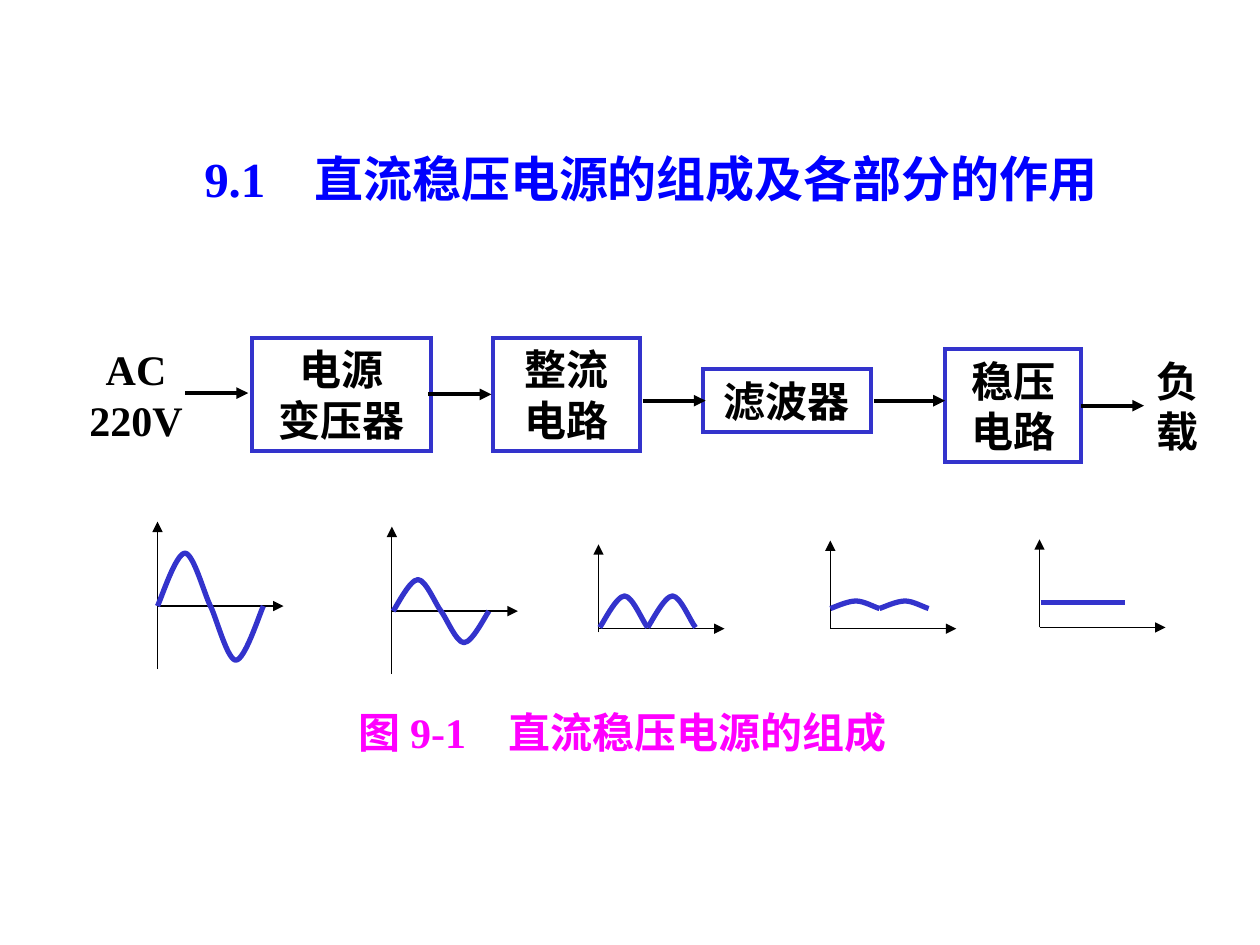
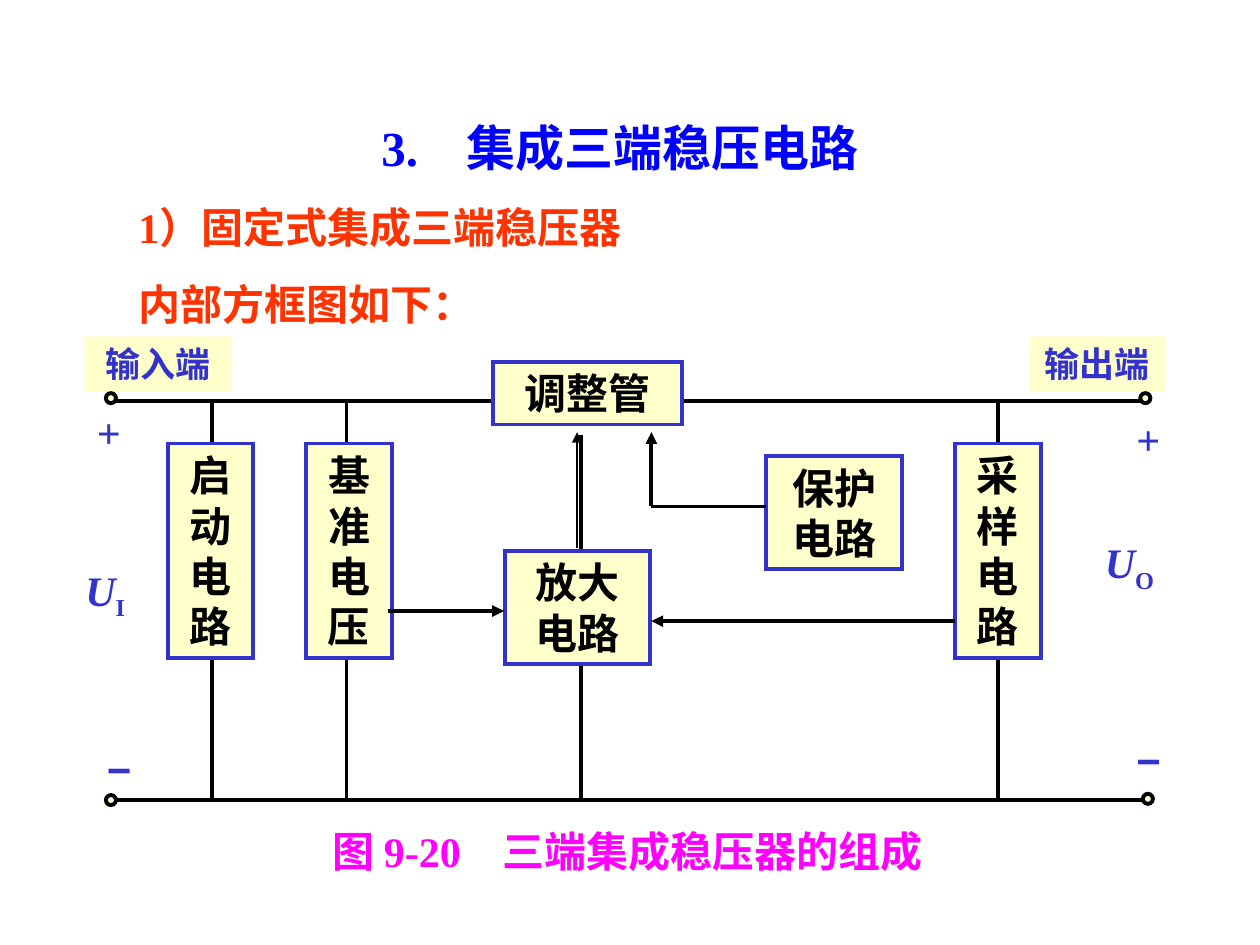
import lxml.etree
import pptx
import pptx.dml.color
import pptx.enum.shapes
import pptx.enum.text
import pptx.oxml.ns
import pptx.util
from pptx.util import Inches

BLUE, TITLE, CAPTION, RED = "3333CC", "0000FF", "FF00FF", "FF3300"
BLACK, CREAM = "000000", "FFFFCC"
SERIF, SANS = "Times New Roman", "Arial"
THICK, THIN, CURVE = 2.25, 0.75, 3
CENTER = pptx.enum.text.PP_ALIGN.CENTER
LEFT = pptx.enum.text.PP_ALIGN.LEFT
RECTANGLE = pptx.enum.shapes.MSO_SHAPE.RECTANGLE
OVAL = pptx.enum.shapes.MSO_SHAPE.OVAL

# Supply chain: places are (left, top, width, height)
SUPPLY_TITLE = ("9.1　直流稳压电源的组成及各部分的作用", (1.25, 1.13, 7.83, 0.57))
SUPPLY_CAPTION = ("图 9-1　直流稳压电源的组成", (1, 5.56, 7.88, 0.5))
SOURCE = ("AC 220V", (0.58, 2.68, 1, 0.9))
LOAD = ("负载", (9.08, 2.77, 0.83, 0.9))
STAGES = [
    (["电源", "变压器"], (2, 2.68, 1.42, 0.9)),
    (["整流电路"], (3.91, 2.68, 1.17, 0.9)),
    (["滤波器"], (5.58, 2.93, 1.33, 0.5)),
    (["稳压电路"], (7.5, 2.77, 1.08, 0.9)),
]
STAGE_ARROWS = [  # start x, end x, y
    (1.47, 1.97, 3.12), (3.4, 3.9, 3.13), (5.1, 5.6, 3.18),
    (6.94, 7.5, 3.18), (8.58, 9.08, 3.22),
]
AXES = [  # origin x, origin y, length below, length above
    (1.25, 4.81, 0.5, 0.67), (3.11, 4.85, 0.5, 0.67), (4.75, 4.99, 0.03, 0.67),
    (6.59, 4.99, 0, 0.7), (8.25, 4.98, 0, 0.7),
]
WAVES = [  # start x, base y, half period, heights of the half waves
    (1.25, 4.81, 0.42, (0.42, -0.43)),
    (3.12, 4.85, 0.38, (0.25, -0.25)),
    (4.76, 4.98, 0.38, (0.25, 0.25)),
    (6.59, 4.83, 0.39, (0.06, 0.06)),
]
STEADY_OUTPUT = (8.26, 4.78, 8.93, 4.78)
# One half wave of unit size: its nodes, and the two handles of each curve
WAVE_NODES = [(0, 0), (0.52, 1), (1, 0)]
WAVE_HANDLES = [((0.08, 0.17), (0.35, 1)), ((0.68, 1), (0.89, 0.21))]

# Regulator block diagram
REGULATOR_TITLE = ("3.　集成三端稳压电路", (1.42, 0.88, 7, 0.57))
REGULATOR_CAPTION = ("图 9-20　三端集成稳压器的组成", (0.92, 6.5, 8.12, 0.5))
INTRO = ["1）固定式集成三端稳压器", "内部方框图如下："]
TOP_RAIL, BOTTOM_RAIL, RAIL_LEFT, RAIL_RIGHT = 3.18, 6.35, 0.92, 9.08
BRANCHES = [(7.92, TOP_RAIL), (1.68, TOP_RAIL), (2.75, TOP_RAIL), (4.61, 3.45)]
BLOCKS = [
    ("调整管", (3.91, 2.87, 1.5, 0.5)),
    ("启动电路", (1.33, 3.52, 0.68, 1.7)),
    ("基准电压", (2.43, 3.52, 0.68, 1.7)),
    ("放大电路", (4.01, 4.37, 1.15, 0.9)),
    ("保护电路", (6.08, 3.62, 1.08, 0.9)),
    ("采样电路", (7.58, 3.52, 0.68, 1.7)),
]
PORTS = [("输入端", (0.67, 2.67, 1.17, 0.44)), ("输出端", (8.17, 2.67, 1.08, 0.44))]
SIGNALS = [  # ends, width, arrowhead
    ((3.08, 4.85, 4, 4.85), THICK, True),
    ((4.58, 4.35, 4.58, 3.43), THIN, True),
    ((6.08, 4.02, 5.17, 4.02), THICK, False),
    ((5.17, 4.02, 5.17, 3.43), THICK, True),
    ((7.58, 4.93, 5.17, 4.93), THICK, True),
]
TERMINALS = [(9.05, 3.12), (9.07, 6.3), (0.84, 6.31), (0.84, 3.12)]
TERMINAL_SIZE = 0.08
SIGNS = [
    ("+", SERIF, (0.67, 3.18, 0.58, 0.5)), ("+", SERIF, (8.92, 3.23, 0.58, 0.5)),
    ("−", SANS, (0.75, 5.85, 0.42, 0.5)), ("−", SANS, (8.92, 5.78, 0.42, 0.5)),
]
VOLTAGES = [("O", (8.67, 4.21, 0.83, 0.56)), ("I", (0.58, 4.43, 0.83, 0.56))]


def rgb(code):
    return pptx.dml.color.RGBColor.from_string(code)


def lengths(values):
    return [Inches(value) for value in values]


def add_element(parent, tag, **attributes):
    return lxml.etree.SubElement(parent, pptx.oxml.ns.qn(tag), **attributes)


def add_span(para, text, size, color, font=SERIF, italic=False):
    span = para.add_run()
    span.text = text
    span.font.name = font
    span.font.size = pptx.util.Pt(size)
    span.font.bold = True
    span.font.italic = italic
    span.font.color.rgb = rgb(color)
    return span


def prepare_frame(shape):
    frame = shape.text_frame
    frame.word_wrap = True
    frame.auto_size = pptx.enum.text.MSO_AUTO_SIZE.SHAPE_TO_FIT_TEXT
    frame.vertical_anchor = pptx.enum.text.MSO_ANCHOR.TOP
    return frame


def write(shape, paragraphs, size=24, color=BLACK, align=CENTER, font=SERIF, gap=0):
    """Fill a shape with paragraphs; gap is the space between them in points."""
    frame = prepare_frame(shape)
    for index, text in enumerate(paragraphs):
        para = frame.add_paragraph() if index else frame.paragraphs[0]
        para.alignment = align
        if index:
            para.space_before = pptx.util.Pt(gap)
        add_span(para, text, size, color, font)


def add_text(page, paragraphs, place, **style):
    write(page.shapes.add_textbox(*lengths(place)), paragraphs, **style)


def add_title(page, title):
    add_text(page, [title[0]], title[1], size=28, color=TITLE)


def add_caption(page, caption):
    add_text(page, [caption[0]], caption[1], color=CAPTION)


def set_line(shape, color, width):
    """Colour the line and return its element for further settings."""
    shape.line.color.rgb = rgb(color)
    shape.line.width = pptx.util.Pt(width)
    return shape._element.spPr.find(pptx.oxml.ns.qn("a:ln"))


def add_box(page, place, kind=RECTANGLE, fill=None, line=BLUE):
    box = page.shapes.add_shape(kind, *lengths(place))
    box.shadow.inherit = False
    if fill:
        box.fill.solid()
        box.fill.fore_color.rgb = rgb(fill)
    else:
        box.fill.background()
    if line:
        add_element(set_line(box, line, THICK), "a:miter", lim="800000")
    else:
        box.line.fill.background()
    return box


def add_line(page, ends, width=THICK, arrow=False, color=BLACK):
    line = page.shapes.add_connector(
        pptx.enum.shapes.MSO_CONNECTOR.STRAIGHT, *lengths(ends))
    outline = set_line(line, color, width)
    if arrow:
        add_element(outline, "a:tailEnd", type="triangle")
    add_element(line._element.spPr, "a:effectLst")


def add_half_wave(page, left, base, width, height):
    """Draw one arch; a negative one hangs below the base and runs leftwards."""
    if height < 0:
        left, width = left + width, -width

    def place(point):
        return Inches(left + width * point[0]), Inches(base - height * point[1])

    nodes = [place(point) for point in WAVE_NODES]
    builder = page.shapes.build_freeform(*nodes[0], scale=1.0)
    builder.add_line_segments(nodes[1:], close=False)
    wave = builder.convert_to_shape()
    wave.shadow.inherit = False
    wave.fill.background()
    set_line(wave, BLUE, CURVE)
    segments = list(wave._element.iter(pptx.oxml.ns.qn("a:lnTo")))
    for segment, handles in zip(segments, WAVE_HANDLES):
        segment.tag = pptx.oxml.ns.qn("a:cubicBezTo")
        for index, handle in enumerate(handles):
            x, y = place(handle)
            point = add_element(segment, "a:pt", x=str(x - wave.left), y=str(y - wave.top))
            segment.insert(index, point)


def build_supply_page(page):
    add_title(page, SUPPLY_TITLE)
    add_caption(page, SUPPLY_CAPTION)
    add_text(page, [SOURCE[0]], SOURCE[1])
    for paragraphs, place in STAGES:
        write(add_box(page, place), paragraphs)
    add_text(page, [LOAD[0]], LOAD[1], align=LEFT)
    for start, end, y in STAGE_ARROWS:
        add_line(page, (start, y, end, y), arrow=True)
    for x, y, below, above in AXES:
        axes = page.shapes.add_group_shape()
        add_line(axes, (x, y, x + 1, y), THIN, arrow=True)
        add_line(axes, (x, y + below, x, y - above), THIN, arrow=True)
    for left, base, width, heights in WAVES:
        for index, height in enumerate(heights):
            add_half_wave(page, left + index * width, base, width, height)
    add_line(page, STEADY_OUTPUT, CURVE, color=BLUE)


def build_regulator_page(page):
    add_title(page, REGULATOR_TITLE)
    add_text(page, INTRO, (1, 1.55, 7.25, 1.11), color=RED, align=LEFT, gap=15)
    diagram = page.shapes.add_group_shape()
    for y in (TOP_RAIL, BOTTOM_RAIL):
        add_line(diagram, (RAIL_LEFT, y, RAIL_RIGHT, y))
    for x, top in BRANCHES:
        add_line(diagram, (x, top, x, BOTTOM_RAIL))
    for name, place in BLOCKS:
        write(add_box(diagram, place, fill=CREAM), [name])
    for name, place in PORTS:
        write(add_box(diagram, place, fill=CREAM, line=None), [name], size=20, color=BLUE)
    for ends, width, arrow in SIGNALS:
        add_line(diagram, ends, width, arrow)
    for left, top in TERMINALS:
        add_box(diagram, (left, top, TERMINAL_SIZE, TERMINAL_SIZE), OVAL, CREAM, BLACK)
    for sign, font, place in SIGNS:
        add_text(diagram, [sign], place, color=BLUE, align=LEFT, font=font)
    for subscript, place in VOLTAGES:
        box = diagram.shapes.add_textbox(*lengths(place))
        para = prepare_frame(box).paragraphs[0]
        add_span(para, "U", 24, BLUE, italic=True)
        span = add_span(para, subscript, 24, BLUE)
        span.font._element.set("baseline", "-25000")
    add_caption(page, REGULATOR_CAPTION)


def main():
    deck = pptx.Presentation()
    deck.slide_width, deck.slide_height = Inches(10), Inches(7.5)
    for build in (build_supply_page, build_regulator_page):
        build(deck.slides.add_slide(deck.slide_layouts[6]))
    deck.save("out.pptx")


if __name__ == "__main__":
    main()
